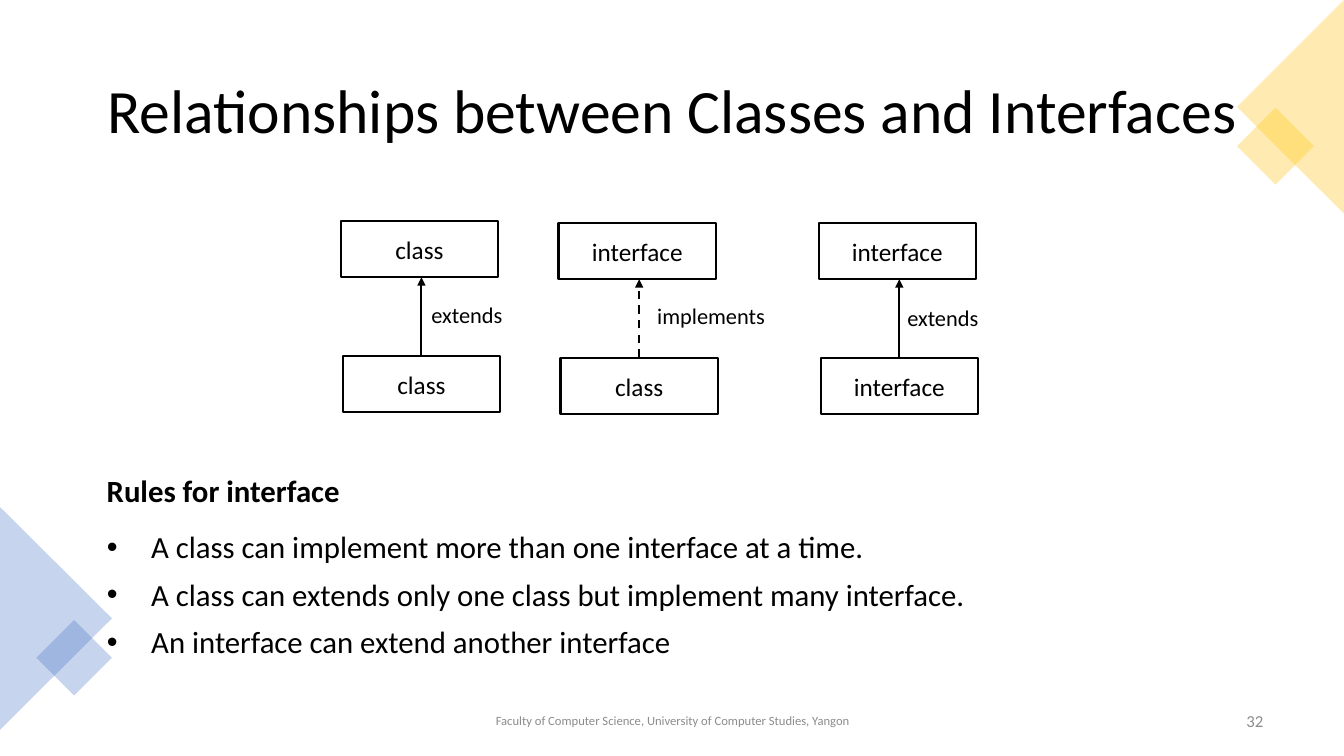
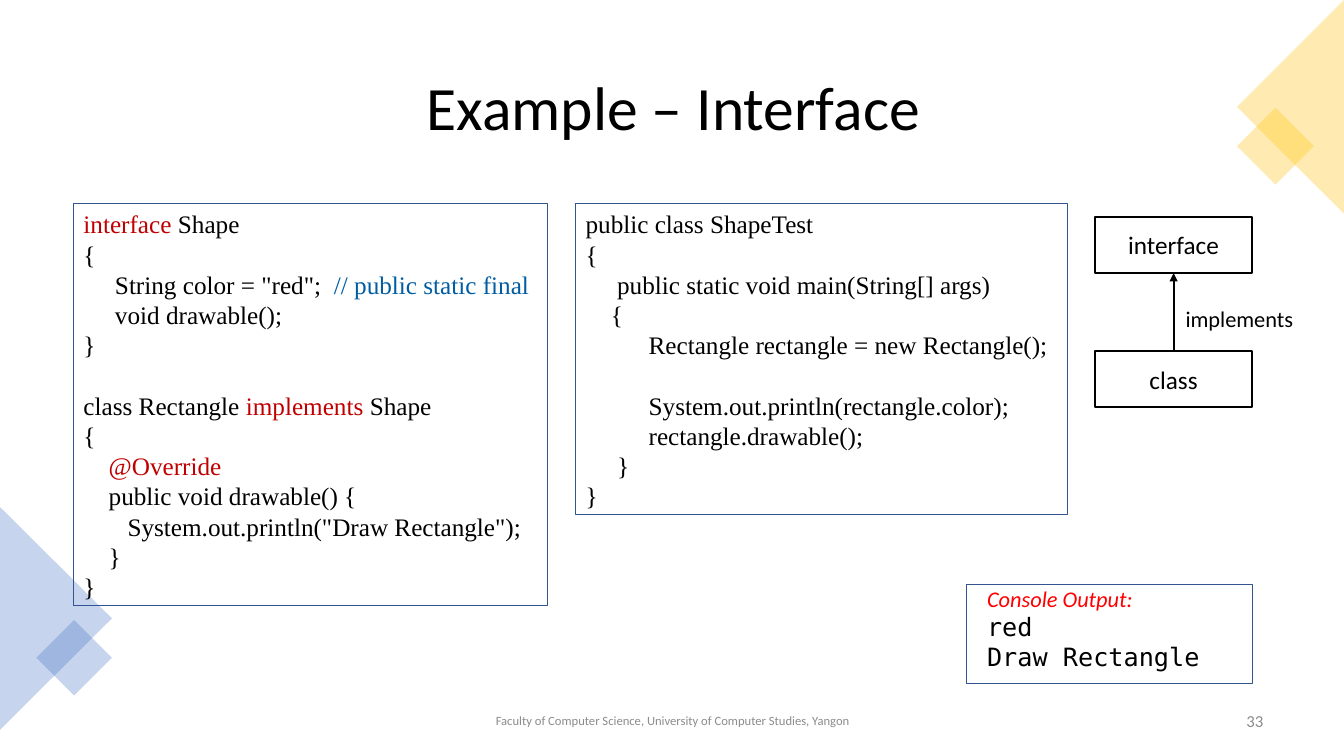
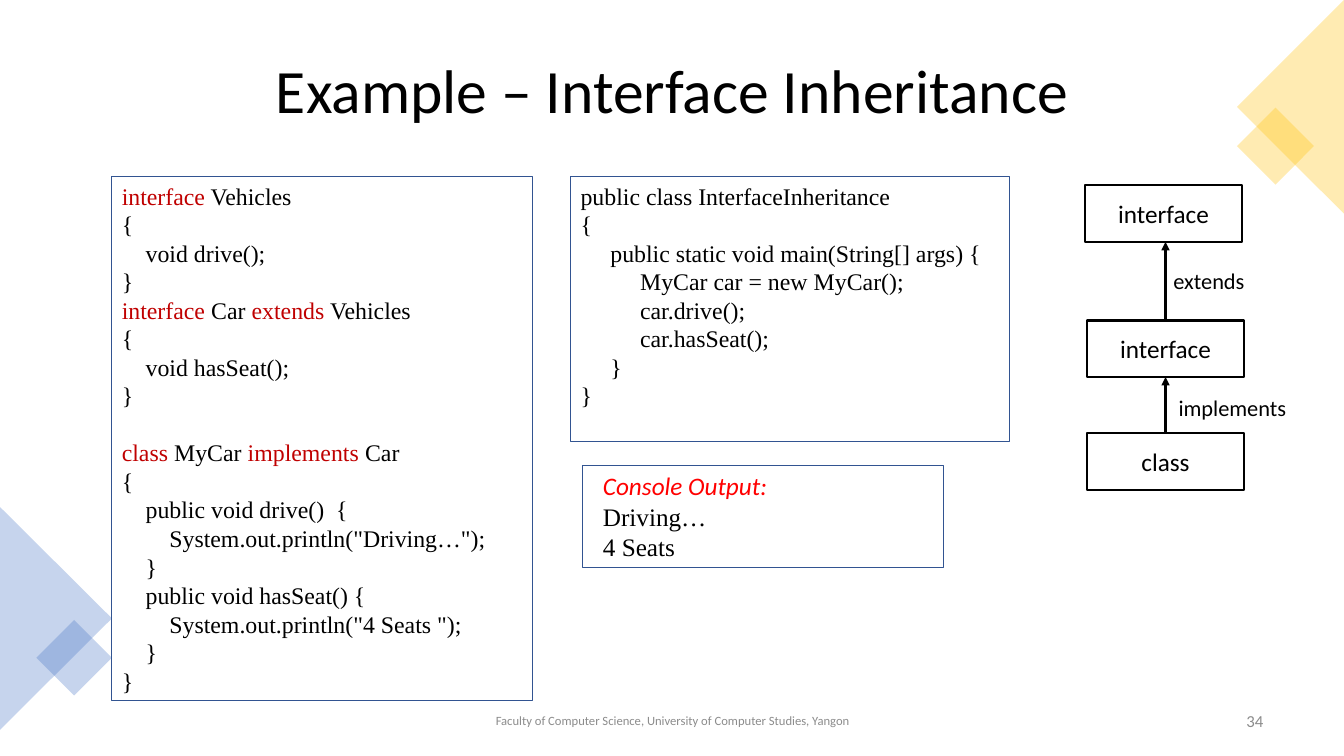
"""Build three lecture slides about Java interfaces."""
from lxml import etree
from pptx import Presentation
from pptx import util as u
from pptx.dml.color import RGBColor
from pptx.enum import dml, shapes, text
from pptx.oxml.ns import qn

PX = 9144
COLORS = {"ink": "000000", "muted": "8C8C8C", "blue": "4472C4", "gold": "FFC000",
          "frame": "325491", "keyword": "C00000", "comment": "005DA2", "heading": "FF0000"}
SANS, SERIF, MONO = "Calibri", "Times New Roman", "DejaVu Sans Mono"
LINE_HEIGHT, SPACE_WIDTH = 1.2, 0.25
BOX_SIZE, LABEL_SIZE = (156, 56), (168, 37)
CODE_INSETS = (10, 5, 10, 0)
ALIGN, SHAPE = text.PP_ALIGN, shapes.MSO_SHAPE

FOOTER = "Faculty of Computer Science, University of Computer Studies, Yangon"
CORNERS = [
    (SHAPE.ISOSCELES_TRIANGLE, (-55, 558, 221, 111), 90, "blue"),
    (SHAPE.RECTANGLE, (47, 626, 53, 53), 45, "blue"),
    (SHAPE.RECTANGLE, (1238, 118, 54, 54), 45, "gold"),
    (SHAPE.ISOSCELES_TRIANGLE, (1174, 53, 212, 106), 270, "gold"),
]

SLIDES = [
    {
        "number": 32,
        "title": ("Relationships between Classes and Interfaces", (92, 40, 1150, 145)),
        "boxes": [("class", 338, 219), ("class", 340, 353),
                  ("interface", 554, 221), ("class", 556, 355),
                  ("interface", 812, 221), ("interface", 814, 355)],
        "links": [(1, 0, "extends", 418, 294, False),
                  (3, 2, "implements", 642, 295, True),
                  (5, 4, "extends", 890, 297, False)],
        "rules": ("Rules for interface", [
            "A class can implement more than one interface at a time.",
            "A class can extends only one class but implement many interface.",
            "An interface can extend another interface"]),
    },
    {
        "number": 33,
        "title": ("Example – Interface", (93, 57, 1150, 106)),
        "boxes": [("interface", 1086, 215), ("class", 1086, 348)],
        "links": [(1, 0, "implements", 1166, 298, False)],
        "code_size": 18,
        "code": [
            ((73, 202, 470, 399), [
                "*interface* Shape",
                "{",
                '     String color = "red";  *// public static final*',
                "     void drawable();",
                "}",
                "",
                "class Rectangle *implements* Shape",
                "{",
                "    *@Override*",
                "    public void drawable() {",
                '       System.out.println("Draw Rectangle");',
                "    }",
                "}"]),
            ((571, 202, 488, 308), [
                "public class ShapeTest",
                "{",
                "     public static void main(String[] args)",
                "    {",
                "          Rectangle rectangle = new Rectangle();",
                "",
                "          System.out.println(rectangle.color);",
                "          rectangle.drawable();",
                "     }",
                "}"]),
        ],
        "console": ((959, 580, 283, 98), (20, 0, 10, 10), 16, MONO,
                    ["red", "Draw Rectangle"]),
    },
    {
        "number": 34,
        "title": ("Example – Interface Inheritance", (92, 40, 1150, 106)),
        "boxes": [("interface", 1076, 184), ("interface", 1078, 318), ("class", 1078, 430)],
        "links": [(1, 0, "extends", 1154, 260, False),
                  (2, 1, "implements", 1159, 386, False)],
        "code_size": 17,
        "code": [
            ((111, 175, 417, 520), [
                "*interface* Vehicles",
                "{",
                "    void drive();",
                "}",
                "*interface* Car *extends* Vehicles",
                "{",
                "    void hasSeat();",
                "}",
                "",
                "*class* MyCar *implements* Car",
                "{",
                "    public void drive()  {",
                '        System.out.println("Driving…");',
                "    }",
                "    public void hasSeat() {",
                '        System.out.println("4 Seats ");',
                "    }",
                "}"]),
            ((566, 175, 435, 263), [
                "public class InterfaceInheritance",
                "{",
                "     public static void main(String[] args) {",
                "          MyCar car = new MyCar();",
                "          car.drive();",
                "          car.hasSeat();",
                "     }",
                "}"]),
        ],
        "console": ((578, 462, 358, 101), (20, 5, 10, 5), 18, SERIF,
                    ["Driving…", "4 Seats"]),
    },
]


def emu(lengths):
    return [u.Emu(length * PX) for length in lengths]


def rgb(name):
    return RGBColor.from_string(COLORS[name])


def add_run(paragraph, words, size, color="ink", font=SANS, bold=False, italic=False):
    run = paragraph.add_run()
    run.text = words
    run.font.size, run.font.name = u.Pt(size), font
    run.font.bold, run.font.italic = bold, italic
    run.font.color.rgb = rgb(color)


def set_frame(frame, anchor, insets=(10, 5, 10, 5)):
    frame.word_wrap, frame.auto_size = True, text.MSO_AUTO_SIZE.NONE
    frame.vertical_anchor = anchor
    (frame.margin_left, frame.margin_top,
     frame.margin_right, frame.margin_bottom) = emu(insets)


def next_paragraph(frame):
    first = frame.paragraphs[0]
    return frame.add_paragraph() if first.runs else first


def set_indent(paragraph, left, first=0):
    properties = paragraph._p.get_or_add_pPr()
    properties.set("marL", str(int(left)))
    properties.set("indent", str(int(first)))


def add_label(slide, place, words, size, align=ALIGN.LEFT,
              anchor=text.MSO_ANCHOR.TOP, **style):
    label = slide.shapes.add_textbox(*emu(place))
    set_frame(label.text_frame, anchor)
    paragraph = label.text_frame.paragraphs[0]
    paragraph.alignment = align
    add_run(paragraph, words, size, **style)
    return label


def add_frame(slide, place, color, width):
    frame = slide.shapes.add_shape(SHAPE.RECTANGLE, *emu(place))
    frame.shadow.inherit = False
    frame.fill.background()
    frame.line.color.rgb = rgb(color)
    frame.line.width = u.Pt(width)
    return frame


def add_panel(slide, place, insets):
    panel = add_frame(slide, place, "frame", 0.75).text_frame
    set_frame(panel, text.MSO_ANCHOR.TOP, insets)
    return panel


def add_panel_line(panel, size):
    paragraph = next_paragraph(panel)
    paragraph.alignment = ALIGN.LEFT
    paragraph.line_spacing = u.Pt(LINE_HEIGHT * size)
    return paragraph


def add_code(slide, place, lines, size):
    panel = add_panel(slide, place, CODE_INSETS)
    gap = 0
    for line in lines:
        if not line:
            gap += LINE_HEIGHT * size
            continue
        paragraph = add_panel_line(panel, size)
        paragraph.space_before = u.Pt(gap)
        gap = 0
        code = line.lstrip()
        set_indent(paragraph, u.Pt((len(line) - len(code)) * SPACE_WIDTH * size))
        for position, words in enumerate(code.split("*")):
            marked = "comment" if words.startswith("//") else "keyword"
            if words:
                add_run(paragraph, words, size, marked if position % 2 else "ink", SERIF)


def add_console(slide, place, insets, heading_size, font, lines):
    panel = add_panel(slide, place, insets)
    add_run(add_panel_line(panel, heading_size), "Console Output:", heading_size,
            "heading", italic=True)
    for line in lines:
        add_run(add_panel_line(panel, 18), line, 18, font=font)


def add_box(slide, words, left, top):
    box = add_frame(slide, (left, top, *BOX_SIZE), "ink", 1.5)
    set_frame(box.text_frame, text.MSO_ANCHOR.MIDDLE)
    paragraph = box.text_frame.paragraphs[0]
    paragraph.alignment = ALIGN.CENTER
    add_run(paragraph, words, 18)
    return box


def add_arrow(slide, lower, upper, dashed):
    center = lower.left + lower.width // 2
    arrow = slide.shapes.add_connector(shapes.MSO_CONNECTOR.STRAIGHT, center, lower.top,
                                       center, upper.top + upper.height)
    arrow.begin_connect(lower, 0)
    if upper.left == lower.left:
        arrow.end_connect(upper, 2)
    arrow.line.color.rgb = rgb("ink")
    arrow.line.width = u.Pt(1.5)
    if dashed:
        arrow.line.dash_style = dml.MSO_LINE.DASH
    properties = arrow.element.spPr
    etree.SubElement(properties.find(qn("a:ln")), qn("a:tailEnd"), type="triangle")
    etree.SubElement(properties, qn("a:effectLst"))


def add_diagram(slide, boxes, links):
    drawn = [add_box(slide, *box) for box in boxes]
    for lower, upper, words, left, top, dashed in links:
        add_arrow(slide, drawn[lower], drawn[upper], dashed)
        add_label(slide, (left, top, *LABEL_SIZE), words, 16)


def move_to(placeholder, place):
    (placeholder.left, placeholder.top,
     placeholder.width, placeholder.height) = emu(place)


def add_title(slide, words, place):
    title = slide.shapes.title
    move_to(title, place)
    set_frame(title.text_frame, text.MSO_ANCHOR.MIDDLE)
    paragraph = title.text_frame.paragraphs[0]
    paragraph.alignment, paragraph.line_spacing = ALIGN.CENTER, 0.9
    add_run(paragraph, words, 44)


def add_rules(slide, heading, rules):
    add_label(slide, (96, 463, 309, 47), heading, 22, bold=True)
    body = slide.placeholders[1]
    move_to(body, (96, 523, 938, 152))
    set_frame(body.text_frame, text.MSO_ANCHOR.TOP)
    for rule in rules:
        paragraph = next_paragraph(body.text_frame)
        paragraph.alignment, paragraph.line_spacing = ALIGN.JUSTIFY, 0.9
        paragraph.space_before = u.Pt(10)
        set_indent(paragraph, 44 * PX, -44 * PX)
        add_run(paragraph, rule, 22)


def furnish_master(master, slide):
    """Draw the corner shapes and the footer, then hand them to the master."""
    furniture = []
    for kind, place, turn, color in CORNERS:
        corner = slide.shapes.add_shape(kind, *emu(place))
        corner.shadow.inherit = False
        corner.rotation = turn
        corner.fill.solid()
        corner.fill.fore_color.rgb = rgb(color)
        corner.line.fill.background()
        shade = corner.element.spPr.find(qn("a:solidFill")).find(qn("a:srgbClr"))
        etree.SubElement(shade, qn("a:alpha"), val="30000")
        furniture.append(corner)
    furniture.append(add_label(slide, (442, 695, 450, 40), FOOTER, 9, ALIGN.CENTER,
                               text.MSO_ANCHOR.MIDDLE, color="muted"))
    for part in furniture:
        master.shapes.element.append(part.element)


def main():
    prs = Presentation()
    prs.slide_width, prs.slide_height = emu((1333, 750))
    for content in SLIDES:
        layout = prs.slide_layouts[1 if "rules" in content else 5]
        slide = prs.slides.add_slide(layout)
        if len(prs.slides) == 1:
            furnish_master(prs.slide_master, slide)
        add_label(slide, (963, 695, 300, 40), str(content["number"]), 12, ALIGN.RIGHT,
                  text.MSO_ANCHOR.MIDDLE, color="muted")
        add_title(slide, *content["title"])
        for place, lines in content.get("code", []):
            add_code(slide, place, lines, content["code_size"])
        if "console" in content:
            add_console(slide, *content["console"])
        add_diagram(slide, content["boxes"], content["links"])
        if "rules" in content:
            add_rules(slide, *content["rules"])
    prs.save("out.pptx")


if __name__ == "__main__":
    main()
